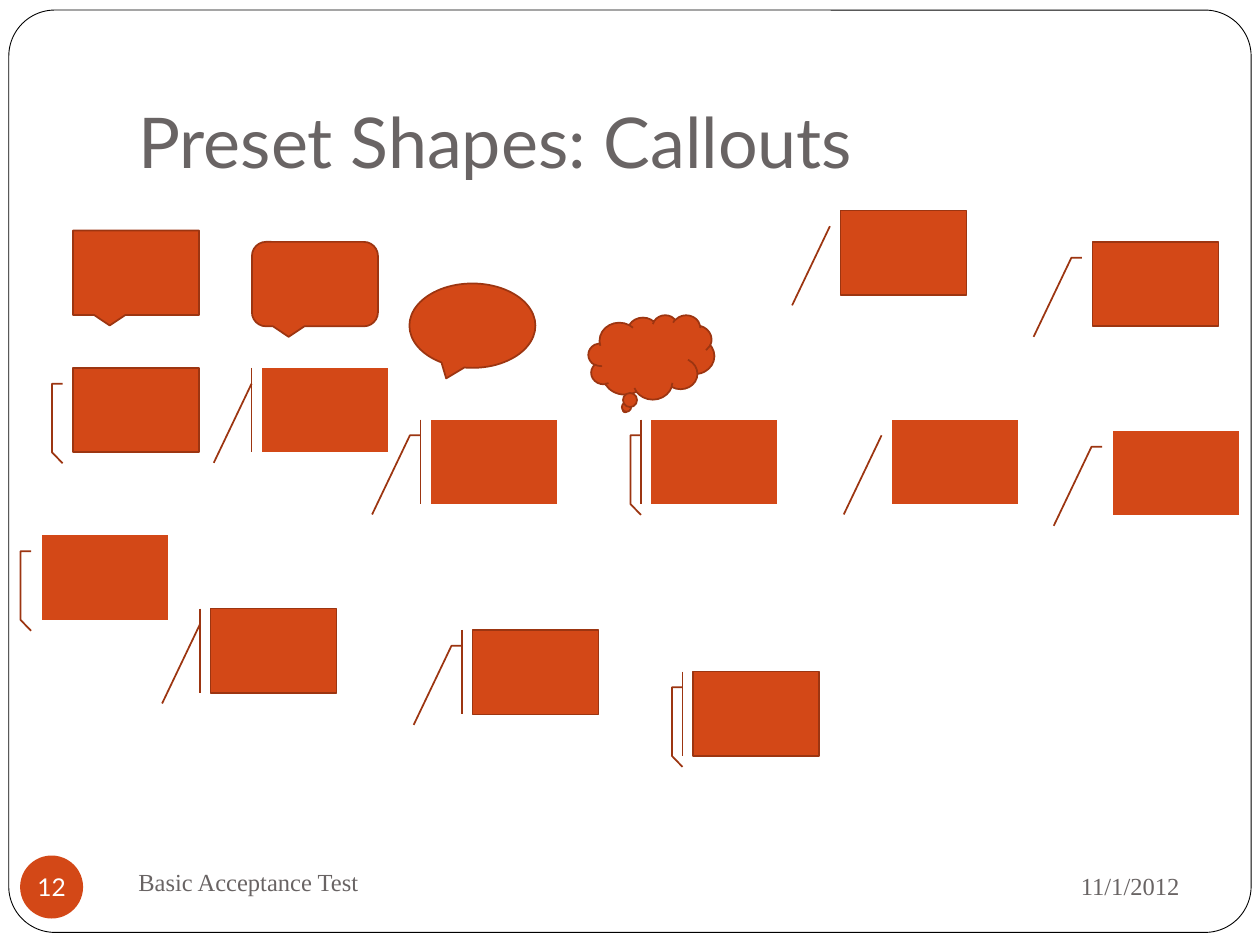
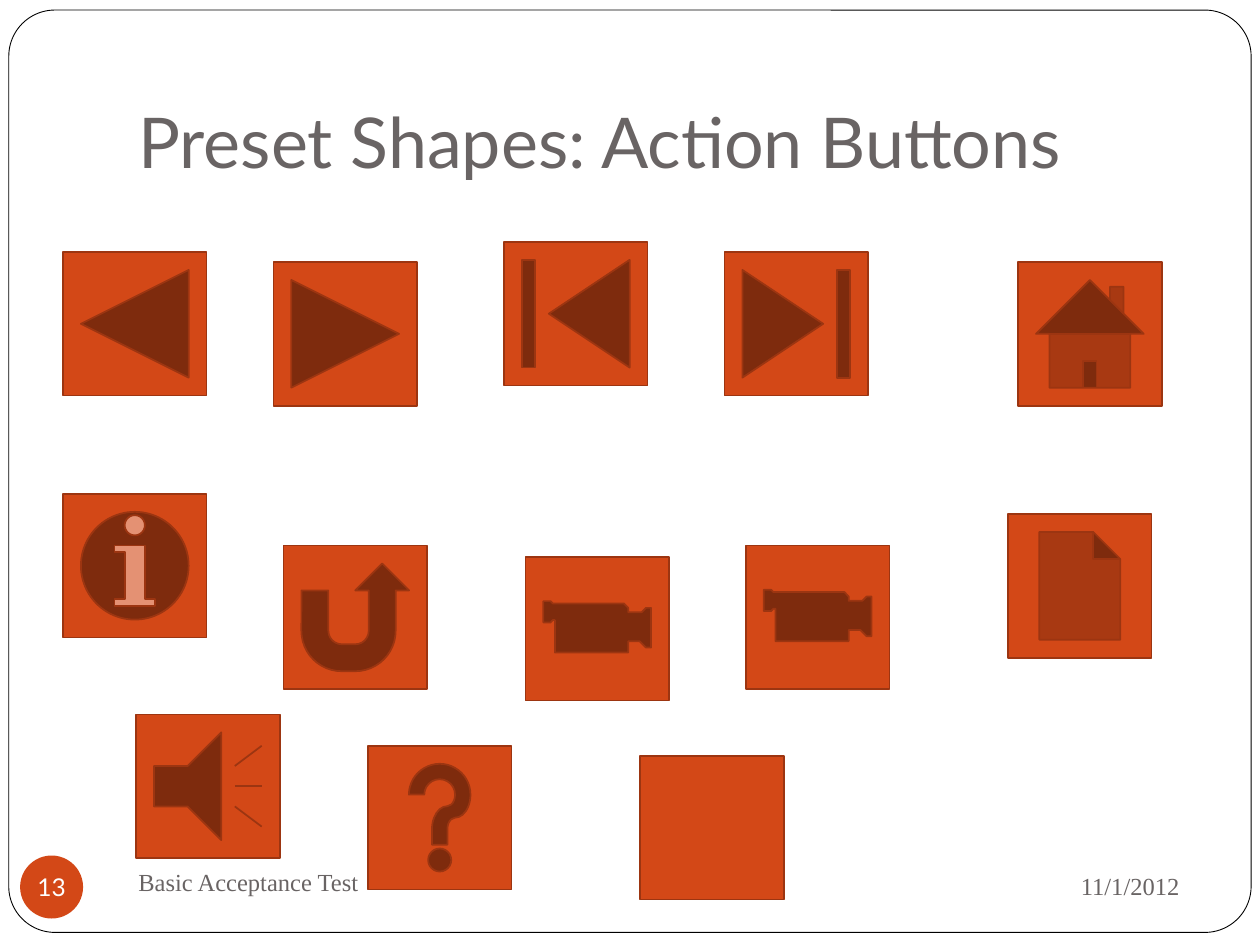
from pptx import Presentation
from pptx.dml.color import RGBColor
from pptx.enum.shapes import MSO_SHAPE as SHAPE
from pptx.enum.text import MSO_ANCHOR as ANCHOR, MSO_AUTO_SIZE as AUTO_SIZE, PP_ALIGN as ALIGN
from pptx.util import Inches, Pt

COLORS = {
    "paper": "FFFFFF",
    "frame": "000000",
    "text": "696464",
    "accent": "D34817",
    "outline": "9C3511",
}
HEADING_FONT, FOOTER_FONT = "Lato", "Times New Roman"
FOOTER, DATE, FIRST_NUMBER = "Basic Acceptance Test", "11/1/2012", 12

CALLOUTS = [
    (SHAPE.RECTANGULAR_CALLOUT, 0.58, 1.83),
    (SHAPE.ROUNDED_RECTANGULAR_CALLOUT, 2, 1.92),
    (SHAPE.OVAL_CALLOUT, 3.25, 2.25),
    (SHAPE.CLOUD_CALLOUT, 4.67, 2.5),
    (SHAPE.LINE_CALLOUT_1, 6.67, 1.67),
    (SHAPE.LINE_CALLOUT_2, 8.67, 1.92),
    (SHAPE.LINE_CALLOUT_3, 0.58, 2.92),
    (SHAPE.LINE_CALLOUT_1_ACCENT_BAR, 2.08, 2.92),
    (SHAPE.LINE_CALLOUT_2_ACCENT_BAR, 3.42, 3.33),
    (SHAPE.LINE_CALLOUT_3_ACCENT_BAR, 5.17, 3.33),
    (SHAPE.LINE_CALLOUT_1_NO_BORDER, 7.08, 3.33),
    (SHAPE.LINE_CALLOUT_2_NO_BORDER, 8.83, 3.42),
    (SHAPE.LINE_CALLOUT_3_NO_BORDER, 0.33, 4.25),
    (SHAPE.LINE_CALLOUT_1_BORDER_AND_ACCENT_BAR, 1.67, 4.83),
    (SHAPE.LINE_CALLOUT_2_BORDER_AND_ACCENT_BAR, 3.75, 5),
    (SHAPE.LINE_CALLOUT_3_BORDER_AND_ACCENT_BAR, 5.5, 5.33),
]
ACTION_BUTTONS = [
    (SHAPE.ACTION_BUTTON_BACK_OR_PREVIOUS, 0.5, 2),
    (SHAPE.ACTION_BUTTON_FORWARD_OR_NEXT, 2.17, 2.08),
    (SHAPE.ACTION_BUTTON_BEGINNING, 4, 1.92),
    (SHAPE.ACTION_BUTTON_END, 5.75, 2),
    (SHAPE.ACTION_BUTTON_HOME, 8.08, 2.08),
    (SHAPE.ACTION_BUTTON_INFORMATION, 0.5, 3.92),
    (SHAPE.ACTION_BUTTON_RETURN, 2.25, 4.33),
    (SHAPE.ACTION_BUTTON_MOVIE, 4.17, 4.42),
    (SHAPE.ACTION_BUTTON_MOVIE, 5.92, 4.33),
    (SHAPE.ACTION_BUTTON_DOCUMENT, 8, 4.08),
    (SHAPE.ACTION_BUTTON_SOUND, 1.08, 5.67),
    (SHAPE.ACTION_BUTTON_HELP, 2.92, 5.92),
    (SHAPE.ACTION_BUTTON_CUSTOM, 5.08, 6),
]
SLIDES = [
    ("Preset Shapes: Callouts", (1, 0.67), CALLOUTS),
    ("Preset Shapes: Action Buttons", (1.14, 1.14), ACTION_BUTTONS),
]


def rgb(color):
    return RGBColor.from_string(COLORS[color])


def set_all(target, values):
    for attribute, value in values.items():
        setattr(target, attribute, value)


def write(holder, text, size, font, color, align=ALIGN.LEFT, **frame_format):
    frame = holder.text_frame
    frame.text = text
    set_all(frame, {"auto_size": AUTO_SIZE.NONE, "word_wrap": True,
                    "vertical_anchor": ANCHOR.MIDDLE, **frame_format})
    paragraph = frame.paragraphs[0]
    paragraph.alignment = align
    set_all(paragraph.runs[0].font, {"size": Pt(size), "name": font})
    paragraph.runs[0].font.color.rgb = rgb(color)


def draw(slide, preset, box, fill, outline=None, weight=1):
    shape = slide.shapes.add_shape(preset, *map(Inches, box))
    shape.shadow.inherit = False
    shape.fill.solid()
    shape.fill.fore_color.rgb = rgb(fill)
    if outline:
        shape.line.color.rgb = rgb(outline)
        shape.line.width = Pt(weight)
    else:
        shape.line.fill.background()
    return shape


def add_base(deck, heading, number):
    slide = deck.slides.add_slide(deck.slide_layouts[5])
    frame = draw(slide, SHAPE.ROUNDED_RECTANGLE, (0.07, 0.08, 9.86, 7.32), "paper", "frame", 0.5)
    frame.adjustments[0] = 0.05
    slide.shapes._spTree.insert(2, frame._element)

    title = slide.shapes.title
    set_all(title, {"left": Inches(1), "top": Inches(0.3),
                    "width": Inches(8.5), "height": Inches(1.25)})
    write(title, heading, 40, HEADING_FONT, "text", vertical_anchor=ANCHOR.BOTTOM,
          margin_left=Inches(0.1), margin_top=Inches(0.05),
          margin_right=Inches(0.1), margin_bottom=Inches(0.1))

    for text, box, align in [
        (DATE, (6.75, 6.77, 2.71, 0.52), ALIGN.RIGHT),
        (FOOTER, (1, 6.75, 4.33, 0.5), ALIGN.LEFT),
    ]:
        note = slide.shapes.add_textbox(*map(Inches, box))
        write(note, text, 14, FOOTER_FONT, "text", align)

    badge = draw(slide, SHAPE.OVAL, (0.16, 6.79, 0.5, 0.5), "accent")
    write(badge, str(number), 14, HEADING_FONT, "paper", ALIGN.CENTER, word_wrap=False,
          margin_left=0, margin_top=0, margin_right=0, margin_bottom=0)
    return slide


def main():
    deck = Presentation()
    set_all(deck, {"slide_width": Inches(10), "slide_height": Inches(7.5)})
    for number, (heading, size, presets) in enumerate(SLIDES, FIRST_NUMBER):
        slide = add_base(deck, heading, number)
        for preset, left, top in presets:
            draw(slide, preset, (left, top, *size), "accent", "outline")
    deck.save("out.pptx")


if __name__ == "__main__":
    main()
